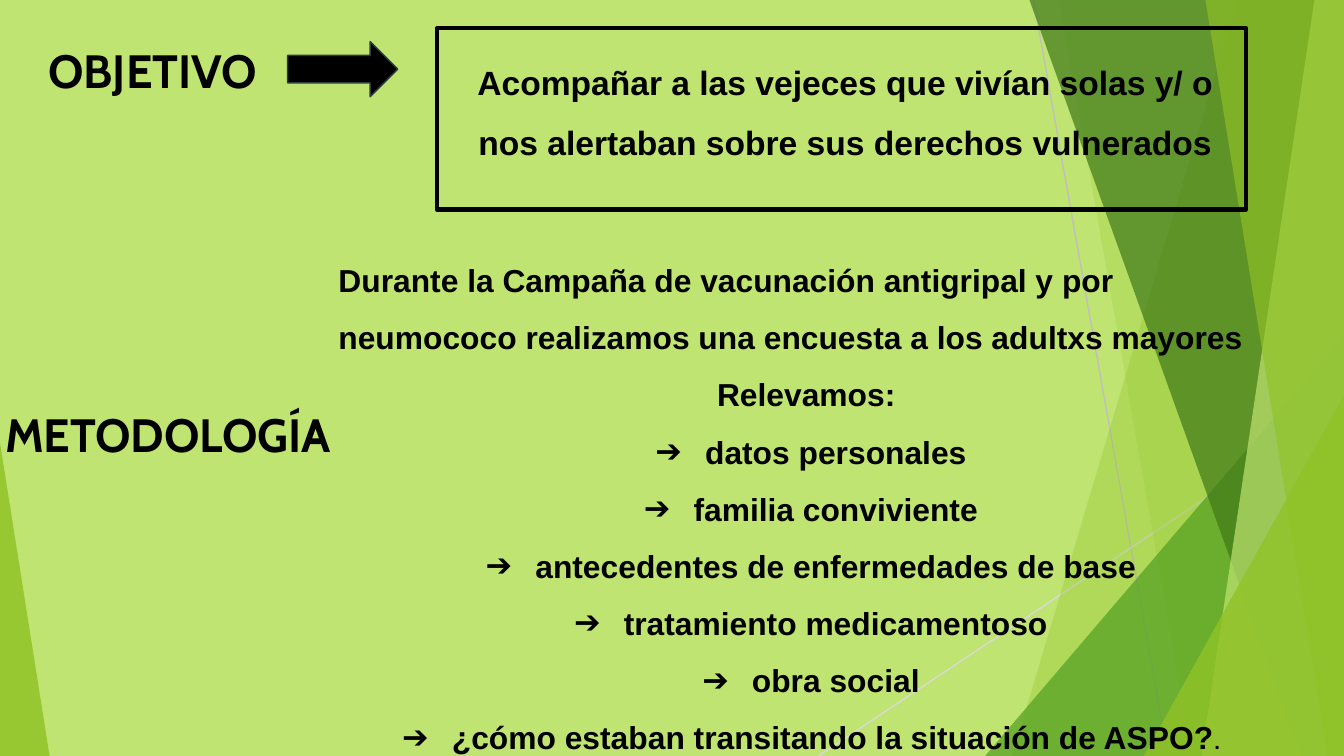
"""Builds the slide on the objective and methodology of the survey of older adults."""
from lxml.etree import SubElement
from pptx import Presentation
from pptx.dml.color import RGBColor
from pptx.enum.shapes import MSO_CONNECTOR, MSO_SHAPE
from pptx.enum.text import MSO_ANCHOR, MSO_AUTO_SIZE, PP_ALIGN
from pptx.oxml.ns import qn
from pptx.util import Pt

BLACK = RGBColor(0x00, 0x00, 0x00)
SLATE = RGBColor(0x2C, 0x3C, 0x43)
SILVER = RGBColor(0xBF, 0xBF, 0xBF)
PALE_GREY = RGBColor(0xD8, 0xD8, 0xD8)
LIGHT_LIME = RGBColor(0xBF, 0xE4, 0x71)
LIME = RGBColor(0x90, 0xC2, 0x26)
GREEN = RGBColor(0x54, 0xA0, 0x21)
DARK_GREEN = RGBColor(0x3F, 0x78, 0x18)
WIDTH, HEIGHT = 720, 405


def paint(shape, color, opacity):
    """Give a shape a translucent fill without outline or shadow."""
    shape.shadow.inherit = False
    shape.line.fill.background()
    shape.fill.solid()
    shape.fill.fore_color.rgb = color
    fill_color = shape.fill._xPr.find(qn("a:solidFill"))[0]
    SubElement(fill_color, qn("a:alpha"), val=str(opacity * 1000))


def write(shape, texts, font_name, size, line_spacing=1.0):
    """Fill a shape with bold black paragraphs and return them."""
    frame = shape.text_frame
    frame.word_wrap = True
    frame.auto_size = MSO_AUTO_SIZE.NONE
    frame.vertical_anchor = MSO_ANCHOR.TOP
    frame.margin_left = frame.margin_right = Pt(7.2)
    frame.margin_top = frame.margin_bottom = Pt(7.2)
    frame.text = "\n".join(texts)
    for paragraph in frame.paragraphs:
        paragraph.alignment = PP_ALIGN.LEFT
        paragraph.line_spacing = line_spacing
        paragraph.space_before = Pt(0)
        paragraph.font.name = font_name
        paragraph.font.size = Pt(size)
        paragraph.font.bold = True
        paragraph.font.color.rgb = BLACK
    return frame.paragraphs


presentation = Presentation()
presentation.slide_width = Pt(WIDTH)
presentation.slide_height = Pt(HEIGHT)
slide = presentation.slides.add_slide(presentation.slide_layouts[5])
slide.background.fill.solid()
slide.background.fill.fore_color.rgb = LIGHT_LIME
shapes = slide.shapes

rays = [
    (553.7, 0, 625.7, HEIGHT, SILVER),
    (WIDTH, 217.4, 438.5, HEIGHT, PALE_GREY),
]
for start_x, start_y, end_x, end_y, color in rays:
    ray = shapes.add_connector(
        MSO_CONNECTOR.STRAIGHT, Pt(start_x), Pt(start_y), Pt(end_x), Pt(end_y)
    )
    ray.line.color.rgb = color
    ray.line.width = Pt(0.75)
    SubElement(ray._element.spPr, qn("a:effectLst"))

facets = [
    ("band", 663.1, 542.2, LIME, 30),
    ("band", 567.4, 638.6, LIME, 20),
    ("right corner", 192.2, 225, GREEN, 72),
    ("band", 551.5, 697, DARK_GREEN, 70),
    ("band", 704.2, 643.7, LIGHT_LIME, 70),
    ("band", 645.8, 711.4, LIME, 65),
    ("right corner", 107.3, 193, LIME, 80),
    ("left corner", 26.6, 168, LIME, 85),
]
for kind, first, second, color, opacity in facets:
    if kind == "band":
        builder = shapes.build_freeform(Pt(first), 0)
        corners = [(WIDTH, 0), (WIDTH, HEIGHT), (second, HEIGHT)]
        builder.add_line_segments([(Pt(x), Pt(y)) for x, y in corners])
        facet = builder.convert_to_shape()
    else:
        at_right = kind == "right corner"
        facet = shapes.add_shape(
            MSO_SHAPE.ISOSCELES_TRIANGLE,
            Pt(WIDTH - first if at_right else 0), Pt(HEIGHT - second),
            Pt(first), Pt(second),
        )
        facet.adjustments[0] = 1 if at_right else 0
    paint(facet, color, opacity)

introduction = [
    "Durante la Campaña de vacunación antigripal y por neumococo "
    "realizamos una encuesta a los adultxs mayores",
    "Relevamos:",
]
survey_items = [
    "datos personales",
    "familia conviviente",
    "antecedentes de enfermedades de base",
    "tratamiento medicamentoso",
    "obra social",
    "¿cómo estaban transitando la situación de ASPO?",
]
method_box = shapes.add_textbox(Pt(169.9), Pt(122.4), Pt(519.8), Pt(282.2))
paragraphs = write(method_box, introduction + survey_items, "Arial", 17, 1.5)
for paragraph in paragraphs:
    paragraph._p.get_or_add_pPr().set("marL", str(Pt(4.3)))
for paragraph in paragraphs[1:]:
    paragraph.alignment = PP_ALIGN.CENTER
for paragraph in paragraphs[2:]:
    properties = paragraph._p.get_or_add_pPr()
    properties.set("marL", str(Pt(36)))
    properties.set("indent", str(Pt(-26.6)))
    font_properties = properties.find(qn("a:defRPr"))
    bullet_color = SubElement(properties, qn("a:buClr"))
    SubElement(bullet_color, qn("a:srgbClr"), val=str(BLACK))
    SubElement(properties, qn("a:buFont"), typeface="Arial")
    SubElement(properties, qn("a:buChar"), char="➔")
    properties.append(font_properties)
full_stop = paragraphs[-1].add_run()
full_stop.text = "."
full_stop.font.size = Pt(11)

title = shapes.title
title.left, title.top, title.width, title.height = Pt(18.7), Pt(15.1), Pt(200), Pt(63.4)
write(title, ["OBJETIVO"], "Cabin", 25)

arrow = shapes.add_shape(MSO_SHAPE.RIGHT_ARROW, Pt(154.1), Pt(22.3), Pt(59), Pt(29.5))
arrow.shadow.inherit = False
arrow.fill.solid()
arrow.fill.fore_color.rgb = BLACK
arrow.line.color.rgb = SLATE
arrow.line.width = Pt(0.75)

objective_box = shapes.add_shape(MSO_SHAPE.RECTANGLE, Pt(234), Pt(15.1), Pt(433.4), Pt(97.2))
objective_box.shadow.inherit = False
objective_box.fill.background()
objective_box.line.color.rgb = BLACK
objective_box.line.width = Pt(2.25)
objective = (
    "Acompañar a las vejeces que vivían solas y/ o "
    "nos alertaban sobre sus derechos vulnerados"
)
paragraph = write(objective_box, [objective], "Arial", 18, 1.5)[0]
paragraph.alignment = PP_ALIGN.CENTER
paragraph._p.get_or_add_pPr().set("marL", str(Pt(4.3)))

method_heading = shapes.add_textbox(Pt(-4.3), Pt(210.2), Pt(196.6), Pt(44.6))
write(method_heading, ["METODOLOGÍA"], "Cabin", 25)

presentation.save("out.pptx")
